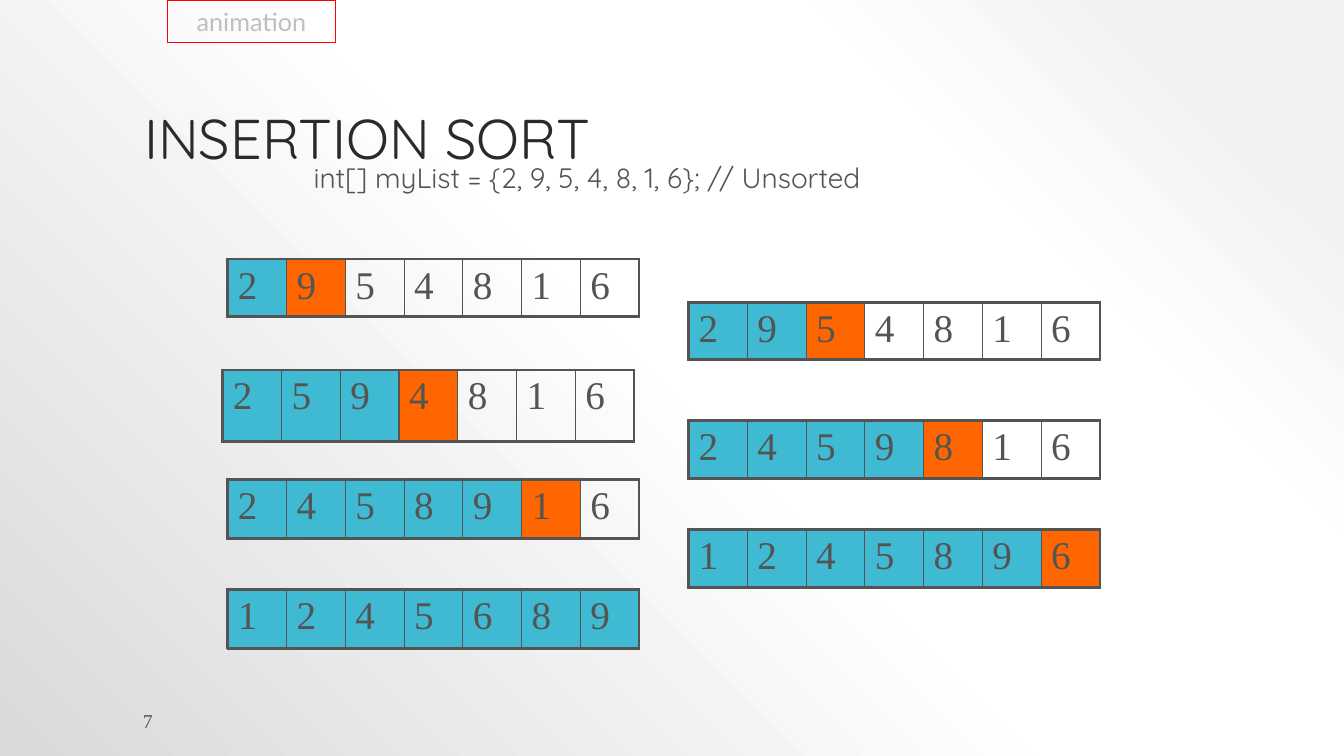
from lxml.etree import SubElement
from pptx import Presentation
from pptx.dml.color import RGBColor
from pptx.enum.shapes import MSO_SHAPE as Shape
from pptx.enum.text import MSO_ANCHOR as Anchor, PP_ALIGN as Align
from pptx.oxml.ns import qn
from pptx.util import Inches, Pt

GREY = RGBColor(0x54, 0x54, 0x54)
DARK = RGBColor(0x2A, 0x2A, 0x2A)
PALE = RGBColor(0xBF, 0xBF, 0xBF)
RED = RGBColor(0xFF, 0x00, 0x00)
SORTED = RGBColor(0x40, 0xBA, 0xD2)
NEXT = RGBColor(0xFF, 0x66, 0x00)

VALUES = [2, 9, 5, 4, 8, 1, 6]
STEP_PLACES = [
    (2.26, 2.57, 0.57),
    (6.83, 3.0, 0.57),
    (2.21, 3.67, 0.71),
    (6.83, 4.17, 0.58),
    (2.26, 4.76, 0.58),
    (6.83, 5.25, 0.58),
    (2.26, 5.85, 0.58),
]
GRADIENT = [(10, "F2F2F2"), (28, "FFFFFF"), (48, "FFFFFF"), (100, "D9D9D9")]


def write(frame, text, font="Quicksand", size=20, color=GREY, align=Align.LEFT,
          anchor=Anchor.TOP, wrap=True, spacing=None, before=None):
    frame.word_wrap = wrap
    frame.vertical_anchor = anchor
    paragraph = frame.paragraphs[0]
    paragraph.alignment = align
    if spacing is not None:
        paragraph.line_spacing = spacing
    if before is not None:
        paragraph.space_before = Pt(before)
    run = paragraph.add_run()
    run.text = text
    run.font.name = font
    run.font.size = Pt(size)
    run.font.color.rgb = color
    return paragraph


class SlideBuilder:
    number_font = "Times New Roman"
    cell_width = 0.583
    outer_line = 2.25
    inner_line = 1

    def __init__(self, presentation):
        self.slide = presentation.slides.add_slide(presentation.slide_layouts[1])

    def background(self, stops):
        fill = self.slide.background.fill
        fill.gradient()
        gradient = self.slide.background._cSld.find(".//" + qn("a:gradFill"))
        for child in list(gradient):
            gradient.remove(child)
        stop_list = SubElement(gradient, qn("a:gsLst"))
        for percent, color in stops:
            stop = SubElement(stop_list, qn("a:gs"), pos=str(percent * 1000))
            SubElement(stop, qn("a:srgbClr"), val=color)
        shade = SubElement(gradient, qn("a:path"), path="circle")
        SubElement(shade, qn("a:fillToRect"), l="100000", b="100000")

    def place(self, shape, left, top, width, height):
        shape.left, shape.top = Inches(left), Inches(top)
        shape.width, shape.height = Inches(width), Inches(height)

    def title(self, text, *box):
        shape = self.slide.shapes.title
        self.place(shape, *box)
        write(shape.text_frame, text, size=40, color=DARK, anchor=Anchor.BOTTOM, spacing=0.9)

    def body(self, text, *box):
        shape = self.slide.placeholders[1]
        self.place(shape, *box)
        paragraph = write(shape.text_frame, text, spacing=0.8, before=18)
        properties = paragraph._p.get_or_add_pPr()
        properties.set("marL", "0")
        properties.set("indent", "0")
        SubElement(properties, qn("a:buNone"))

    def page_number(self, text, *box):
        shape = self.slide.shapes.add_textbox(*map(Inches, box))
        write(shape.text_frame, text, font=self.number_font, size=14, anchor=Anchor.MIDDLE)

    def label(self, text, *box):
        shape = self.slide.shapes.add_shape(Shape.RECTANGLE, *map(Inches, box))
        shape.shadow.inherit = False
        shape.fill.background()
        shape.line.color.rgb = RED
        shape.line.width = Pt(1)
        write(shape.text_frame, text, font="Lato", size=18, color=PALE,
              align=Align.CENTER, anchor=Anchor.MIDDLE, wrap=False)

    def borders(self, cell, first, last):
        properties = cell._tc.get_or_add_tcPr()
        widths = {
            "a:lnL": self.outer_line if first else self.inner_line,
            "a:lnR": self.outer_line if last else self.inner_line,
            "a:lnT": self.outer_line,
            "a:lnB": self.outer_line,
        }
        for side, width in widths.items():
            line = SubElement(properties, qn(side), w=str(Pt(width)))
            fill = SubElement(line, qn("a:solidFill"))
            SubElement(fill, qn("a:srgbClr"), val=str(GREY))

    def array(self, values, sorted_count, left, top, height):
        count = len(values)
        frame = self.slide.shapes.add_table(1, count, Inches(left), Inches(top),
                                            Inches(self.cell_width * count), Inches(height))
        table = frame.table
        table.first_row = table.horz_banding = False
        for index, value in enumerate(values):
            table.columns[index].width = Inches(self.cell_width)
            cell = table.cell(0, index)
            write(cell.text_frame, str(value), font=self.number_font, size=28)
            self.borders(cell, index == 0, index == count - 1)
            if index > sorted_count:
                cell.fill.background()
            else:
                cell.fill.solid()
                cell.fill.fore_color.rgb = SORTED if index < sorted_count else NEXT


def main():
    presentation = Presentation()
    presentation.slide_width = Inches(13.33)
    presentation.slide_height = Inches(7.5)
    builder = SlideBuilder(presentation)
    builder.background(GRADIENT)
    builder.page_number("7", 1.32, 7.05, 7.26, 0.2)
    builder.title("INSERTION SORT", 1.33, 0.3, 10.67, 1.45)
    for sorted_count, place in enumerate(STEP_PLACES, start=1):
        step = sorted(VALUES[:sorted_count]) + VALUES[sorted_count:]
        builder.array(step, sorted_count, *place)
    builder.body("int[] myList = {2, 9, 5, 4, 8, 1, 6}; // Unsorted", 3.01, 1.61, 5.92, 0.5)
    builder.label("animation", 1.66, 0, 1.67, 0.42)
    presentation.save("out.pptx")


if __name__ == "__main__":
    main()
